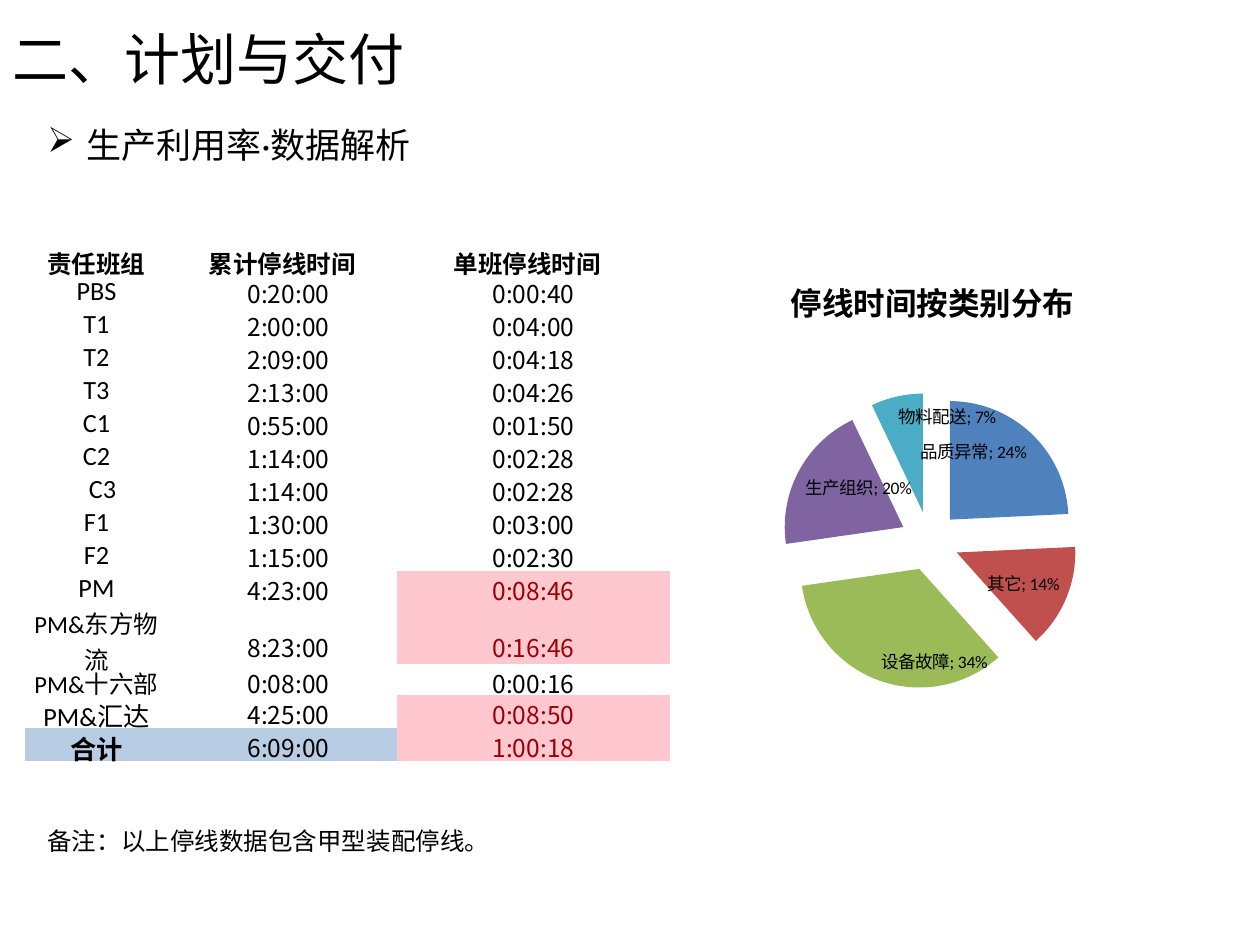
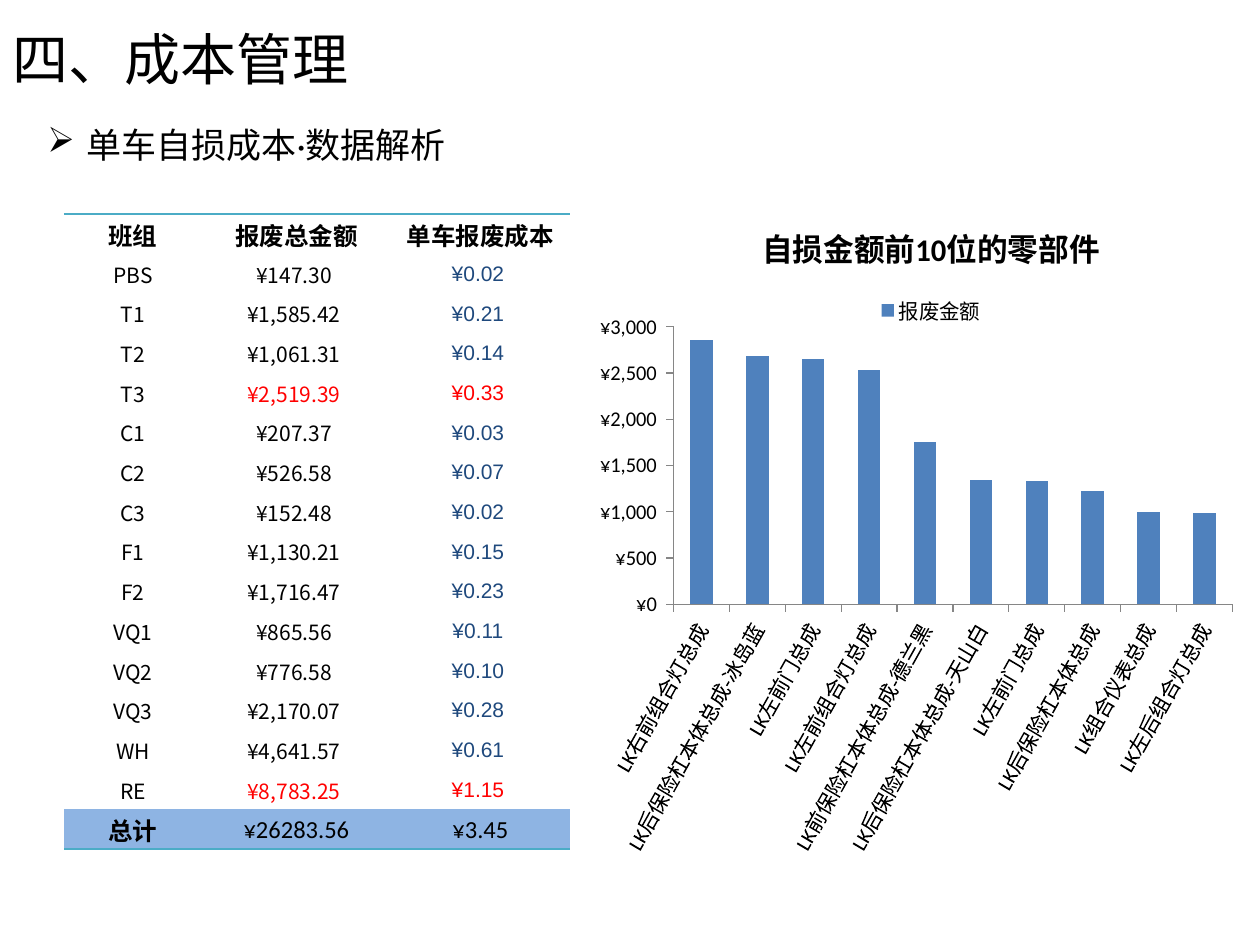
from lxml import etree
from pptx import Presentation
from pptx.chart.data import CategoryChartData
from pptx.dml.color import RGBColor
from pptx.enum.chart import (XL_CHART_TYPE, XL_LABEL_POSITION,
                             XL_LEGEND_POSITION, XL_TICK_MARK)
from pptx.enum.text import MSO_ANCHOR, PP_ALIGN
from pptx.oxml import parse_xml
from pptx.oxml.ns import nsdecls, qn
from pptx.util import Pt

HUES = {
    "ink": "000000", "navy": "1F497D", "red": "FF0000", "wine": "9C0006",
    "pink": "FFC7CE", "pale": "B8CCE4", "sky": "8EB4E3", "teal": "4BACC6",
    "blue": "4F81BD", "brick": "C0504D", "green": "9BBB59", "plum": "8064A2",
    "grey": "868686",
}
LATIN, PLAIN, CJK = "Calibri", "Arial", "Noto Sans CJK SC"
BARE = "{2D5ABB26-0587-4C30-8999-92F81FD0307C}"

STOPS = [
    ("PBS", "0:20:00", "0:00:40"), ("T1", "2:00:00", "0:04:00"),
    ("T2", "2:09:00", "0:04:18"), ("T3", "2:13:00", "0:04:26"),
    ("C1", "0:55:00", "0:01:50"), ("C2", "1:14:00", "0:02:28"),
    ("C3", "1:14:00", "0:02:28"), ("F1", "1:30:00", "0:03:00"),
    ("F2", "1:15:00", "0:02:30"), ("PM", "4:23:00", "0:08:46"),
    ("PM&东方物流", "8:23:00", "0:16:46"), ("PM&十六部", "0:08:00", "0:00:16"),
    ("PM&汇达", "4:25:00", "0:08:50"), ("合计", "6:09:00", "1:00:18"),
]
LATE = {"PM", "PM&东方物流", "PM&汇达", "合计"}
KINDS = [("品质异常", 0.24, "blue"), ("其它", 0.14, "brick"),
         ("设备故障", 0.34, "green"), ("生产组织", 0.2, "plum"),
         ("物料配送", 0.07, "teal")]
SCRAP = [
    ("PBS", "¥147.30", "¥0.02"), ("T1", "¥1,585.42", "¥0.21"),
    ("T2", "¥1,061.31", "¥0.14"), ("T3", "¥2,519.39", "¥0.33"),
    ("C1", "¥207.37", "¥0.03"), ("C2", "¥526.58", "¥0.07"),
    ("C3", "¥152.48", "¥0.02"), ("F1", "¥1,130.21", "¥0.15"),
    ("F2", "¥1,716.47", "¥0.23"), ("VQ1", "¥865.56", "¥0.11"),
    ("VQ2", "¥776.58", "¥0.10"), ("VQ3", "¥2,170.07", "¥0.28"),
    ("WH", "¥4,641.57", "¥0.61"), ("RE", "¥8,783.25", "¥1.15"),
]
WORST = {"T3", "RE"}
PARTS = [
    ("LK右前组合灯总成", 2860), ("LK后保险杠本体总成-冰岛蓝", 2680),
    ("LK左前门总成", 2650), ("LK左前组合灯总成", 2530),
    ("LK前保险杠本体总成-德兰黑", 1760), ("LK后保险杠本体总成-天山白", 1340),
    ("LK左前门总成", 1330), ("LK后保险杠本体总成", 1230),
    ("LK组合仪表总成", 1000), ("LK左后组合灯总成", 990),
]


def px(n):
    return round(n * 914400 / 126)


def hue(name):
    return RGBColor.from_string(HUES[name])


def style(font, size, face=LATIN, tint="ink", bold=False):
    font.size, font.name, font.bold = Pt(size), face, bold
    font.color.rgb = hue(tint)


def write(frame, text, size, **look):
    frame.text = text
    for run in frame.paragraphs[0].runs:
        style(run.font, size, **look)


def note(slide, box, text, size, bullet=False):
    frame = slide.shapes.add_textbox(*map(px, box)).text_frame
    frame.word_wrap = True
    write(frame, text, size)
    if bullet:
        props = frame.paragraphs[0]._p.get_or_add_pPr()
        props.set("marL", str(px(39)))
        props.set("indent", str(px(-39)))
        etree.SubElement(props, qn("a:buChar")).set("char", "➢")


def begin(deck, title, topic):
    """Add a slide with the shared title and bulleted topic line."""
    slide = deck.slides.add_slide(deck.slide_layouts[5])
    head = slide.shapes.title
    head.left, head.top, head.width, head.height = map(px, (0, 0, 1134, 116))
    frame = head.text_frame
    frame.vertical_anchor = MSO_ANCHOR.MIDDLE
    write(frame, title, 32)
    frame.paragraphs[0].alignment = PP_ALIGN.LEFT
    note(slide, (35, 117, 1099, 55), topic, 20, bullet=True)
    return slide


def grid(slide, box, cols, rows):
    """Add an unstyled table; cols in px, rows in EMU."""
    frame = slide.shapes.add_table(len(rows), len(cols), *map(px, box))
    table = frame.table
    table.first_row = table.horz_banding = False
    table._tbl.tblPr.find(qn("a:tableStyleId")).text = BARE
    for col, wide in zip(table.columns, cols):
        col.width = px(wide)
    for row, tall in zip(table.rows, rows):
        row.height = tall
    return table


def fill(cell, text, size, anchor, back=None, shift=0, **look):
    """Write one centred cell; shift widens its right margin."""
    write(cell.text_frame, text, size, **look)
    cell.text_frame.paragraphs[0].alignment = PP_ALIGN.CENTER
    cell.vertical_anchor = anchor
    cell.margin_left = cell.margin_top = px(1)
    cell.margin_right, cell.margin_bottom = px(1 + shift), 0
    if back:
        cell.fill.solid()
        cell.fill.fore_color.rgb = hue(back)
    else:
        cell.fill.background()


def rule(cell, side):
    line = parse_xml(
        f'<a:{side} {nsdecls("a")} w="12700"><a:solidFill>'
        f'<a:srgbClr val="{HUES["teal"]}"/></a:solidFill></a:{side}>')
    cell._tc.get_or_add_tcPr().insert(0, line)


def plot(slide, box, kind, name, pairs, size, title, area):
    """Add a one-series chart with a title and a fixed plot area."""
    data = CategoryChartData()
    data.categories = [pair[0] for pair in pairs]
    data.add_series(name, [pair[1] for pair in pairs])
    chart = slide.shapes.add_chart(kind, *map(px, box), data).chart
    style(chart.font, size)
    chart.has_title = True
    write(chart.chart_title.text_frame, title, 18, bold=True)
    chart.chart_title.include_in_layout = False
    spots = "".join(f'<c:{tag} val="{val}"/>'
                    for tag, val in zip("xywh", area))
    layout = parse_xml(
        f'<c:layout {nsdecls("c")}><c:manualLayout>'
        '<c:layoutTarget val="inner"/><c:xMode val="edge"/>'
        f'<c:yMode val="edge"/>{spots}</c:manualLayout></c:layout>')
    zone = chart._chartSpace.chart.plotArea
    for old in zone.findall(qn("c:layout")):
        zone.remove(old)
    zone.insert(0, layout)
    return chart


def stops(slide, box):
    heads = ("责任班组", "累计停线时间", "单班停线时间")
    rows = [px(30 if i in (0, 11, 12) else 33) for i in range(15)]
    table = grid(slide, box, (155, 217, 273), rows)
    low = MSO_ANCHOR.BOTTOM
    for c, text in enumerate(heads):
        fill(table.cell(0, c), text, 14, low, shift=12, face=PLAIN, bold=True)
    for r, (team, total, shift) in enumerate(STOPS, 1):
        last, late = team == "合计", team in LATE
        back = "pale" if last else None
        fill(table.cell(r, 0), team, 14 if r in (11, 12) else 15, low, back,
             0 if team == "C3" else 12, face=PLAIN if last else LATIN,
             bold=last)
        fill(table.cell(r, 1), total, 14, low, back, face=CJK)
        fill(table.cell(r, 2), shift, 14, low, "pink" if late else None,
             face=CJK, tint="wine" if late else "ink")


def pie(slide, box):
    name = "停线时间按类别分布"
    chart = plot(slide, box, XL_CHART_TYPE.PIE, name, KINDS, 10, name,
                 (0.25, 0.3, 0.49, 0.66))
    chart.has_legend = False
    wedges = chart.plots[0]
    wedges.vary_by_categories = True
    series = wedges.series[0]
    for i, (_, _, tint) in enumerate(KINDS):
        spot = series.points[i].format.fill
        spot.solid()
        spot.fore_color.rgb = hue(tint)
    burst = parse_xml(f'<c:explosion {nsdecls("c")} val="25"/>')
    series._element.find(qn("c:dPt")).addprevious(burst)
    labels = series.data_labels
    labels.show_value = labels.show_category_name = True
    labels.show_percentage = False
    labels.number_format, labels.number_format_is_linked = "0%", False
    labels.position = XL_LABEL_POSITION.INSIDE_END
    style(labels.font, 10)


def scrap(slide, box):
    count = len(SCRAP) + 2
    table = grid(slide, box, (138, 189, 179), [px(box[3]) // count] * count)
    mid = MSO_ANCHOR.MIDDLE
    for c, text in enumerate(("班组", "报废总金额", "单车报废成本")):
        fill(table.cell(0, c), text, 14, mid, bold=True)
        rule(table.cell(0, c), "lnT")
    for r, (team, total, unit) in enumerate(SCRAP, 1):
        bad = team in WORST
        fill(table.cell(r, 0), team, 12, mid, face=CJK)
        fill(table.cell(r, 1), total, 12, mid, shift=5, face=CJK,
             tint="red" if bad else "ink")
        fill(table.cell(r, 2), unit, 12, mid, shift=5, face=PLAIN,
             tint="red" if bad else "navy")
    for c, text in enumerate(("总计", "¥26283.56", "¥3.45")):
        cell = table.cell(count - 1, c)
        fill(cell, text, 14, mid, "sky", bold=c == 0)
        rule(cell, "lnB")


def bars(slide, box):
    chart = plot(slide, box, XL_CHART_TYPE.COLUMN_CLUSTERED, "报废金额", PARTS,
                 18, "自损金额前10位的零部件", (0.09, 0.19, 0.89, 0.4))
    chart.has_legend = True
    chart.legend.position = XL_LEGEND_POSITION.TOP
    chart.legend.include_in_layout = False
    style(chart.legend.font, 12)
    cols = chart.plots[0]
    cols.gap_width, cols.vary_by_categories = 150, False
    paint = cols.series[0].format.fill
    paint.solid()
    paint.fore_color.rgb = hue("blue")
    base, scale = chart.category_axis, chart.value_axis
    for axis in (base, scale):
        axis.has_major_gridlines = False
        axis.major_tick_mark = XL_TICK_MARK.OUTSIDE
        axis.minor_tick_mark = XL_TICK_MARK.NONE
        axis.format.line.color.rgb = hue("grey")
        style(axis.tick_labels.font, 12)
    turn = base._element.find(qn("c:txPr")).find(qn("a:bodyPr"))
    turn.set("rot", str(-60 * 60000))
    turn.set("vert", "horz")
    scale.minimum_scale, scale.maximum_scale, scale.major_unit = 0, 3000, 500
    marks = scale.tick_labels
    marks.number_format = '"¥"#,##0_);\\("¥"#,##0\\)'
    marks.number_format_is_linked = False


def main():
    deck = Presentation()
    deck.slide_width, deck.slide_height = px(1260), px(945)

    slide = begin(deck, "二、计划与交付", "生产利用率·数据解析")
    note(slide, (35, 820, 586, 43), "备注：以上停线数据包含甲型装配停线。", 14)
    pie(slide, (630, 254, 605, 456))
    stops(slide, (25, 244, 645, 486))

    slide = begin(deck, "四、成本管理", "单车自损成本·数据解析")
    scrap(slide, (64, 214, 506, 635))
    bars(slide, (600, 195, 645, 694))
    deck.save("out.pptx")


if __name__ == "__main__":
    main()
